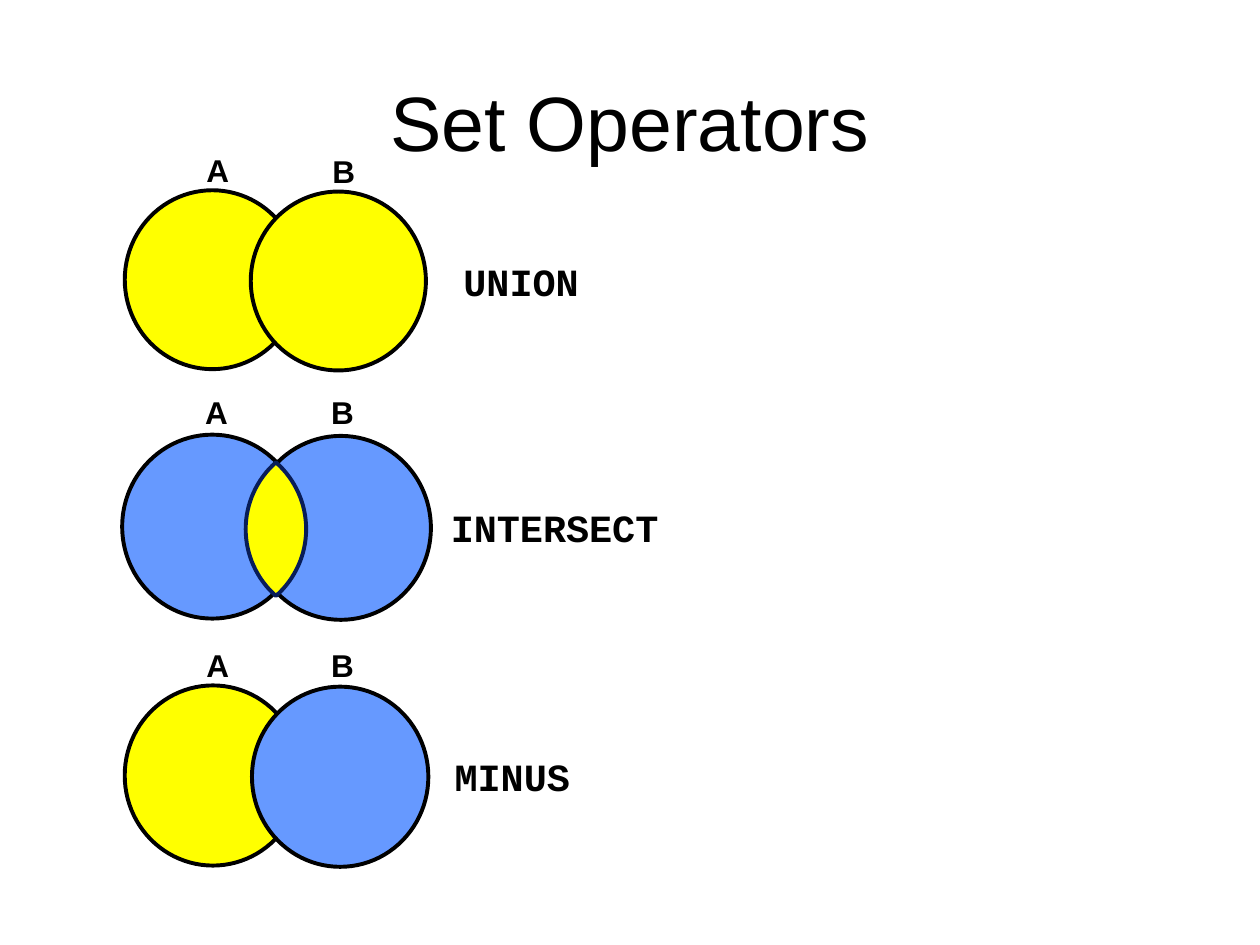
"""Draw the set operators slide with three Venn diagrams."""
import math
from dataclasses import dataclass

import pptx
import pptx.util
import pptx.dml.color
import pptx.enum.shapes
import pptx.enum.text
from pptx.util import Inches

RGBColor = pptx.dml.color.RGBColor
BLACK = RGBColor(0x00, 0x00, 0x00)
WHITE = RGBColor(0xFF, 0xFF, 0xFF)
YELLOW = RGBColor(0xFF, 0xFF, 0x00)
BLUE = RGBColor(0x66, 0x99, 0xFF)
NAVY = RGBColor(0x08, 0x1D, 0x58)

TITLE = {"name": "Arial", "size": pptx.util.Pt(44), "bold": False}
LETTER = {"name": "Arial", "size": pptx.util.Pt(18), "bold": True}
CODE = {"name": "Courier New", "size": pptx.util.Pt(22), "bold": True}
STEPS = 32


@dataclass
class Disc:
    left: float
    top: float
    fill: RGBColor


@dataclass
class Lens:
    x: float
    y: float
    half_w: float
    half_h: float


@dataclass
class Label:
    text: str
    left: float
    top: float
    width: float
    height: float
    font: dict
    wrap: bool = False


@dataclass
class Venn:
    wide: float
    high: float
    discs: list[Disc]
    labels: list[Label]
    lens: Lens | None = None


def letter(text: str, left: float, top: float) -> Label:
    """Give the label of one set."""
    return Label(text, left, top, 0.38, 0.4, LETTER)


VENNS = [
    Venn(1.39, 1.42, [Disc(0.99, 1.51, YELLOW), Disc(1.99, 1.52, YELLOW)],
         [Label("UNION", 3.58, 2, 1.42, 0.47, CODE, True),
          letter("A", 1.54, 1.15), letter("B", 2.54, 1.16)]),
    Venn(1.43, 1.46, [Disc(0.97, 3.45, BLUE), Disc(1.99, 3.46, BLUE)],
         [Label("INTERSECT", 3.48, 3.95, 1.86, 0.47, CODE),
          letter("A", 1.53, 3.07), letter("B", 2.53, 3.07)],
         Lens(2.19, 4.2, 0.24, 0.53)),
    Venn(1.4, 1.43, [Disc(0.99, 5.44, YELLOW), Disc(2, 5.45, BLUE)],
         [Label("MINUS", 3.51, 5.93, 1.12, 0.47, CODE),
          letter("A", 1.54, 5.08), letter("B", 2.53, 5.08)]),
]


def write(frame, text: str, style: dict) -> None:
    """Put styled text in a frame."""
    part = frame.paragraphs[0]
    part.text = text
    for key, value in style.items():
        setattr(part.runs[0].font, key, value)
    part.runs[0].font.color.rgb = BLACK


def paint(shape, fill: RGBColor, line: RGBColor) -> None:
    """Set the fill and outline of a shape."""
    shape.shadow.inherit = False
    shape.fill.solid()
    shape.fill.fore_color.rgb = fill
    shape.line.color.rgb = line
    shape.line.width = pptx.util.Pt(2.25)


def draw_label(slide, label: Label) -> None:
    """Draw one text label."""
    box = slide.shapes.add_textbox(Inches(label.left), Inches(label.top),
                                   Inches(label.width), Inches(label.height))
    frame = box.text_frame
    frame.word_wrap = label.wrap
    frame.auto_size = pptx.enum.text.MSO_AUTO_SIZE.SHAPE_TO_FIT_TEXT
    write(frame, label.text, label.font)


def draw_lens(group, lens: Lens) -> None:
    """Draw the overlap of two discs as a pair of arcs."""
    radius = (lens.half_w ** 2 + lens.half_h ** 2) / (2 * lens.half_w)
    reach = math.asin(lens.half_h / radius)
    shift = radius - lens.half_w
    points = []
    for side in (1, -1):
        for step in range(STEPS):
            angle = side * reach * (2 * step / STEPS - 1)
            points.append((Inches(lens.x + side * (radius * math.cos(angle) - shift)),
                           Inches(lens.y + radius * math.sin(angle))))
    pen = group.shapes.build_freeform(*points[0])
    pen.add_line_segments(points[1:], close=True)
    paint(pen.convert_to_shape(), YELLOW, NAVY)


def draw_venn(slide, venn: Venn) -> None:
    """Draw one diagram with its labels."""
    for label in venn.labels:
        draw_label(slide, label)
    group = slide.shapes.add_group_shape()
    for disc in venn.discs:
        oval = group.shapes.add_shape(
            pptx.enum.shapes.MSO_SHAPE.OVAL, Inches(disc.left), Inches(disc.top),
            Inches(venn.wide), Inches(venn.high))
        paint(oval, disc.fill, BLACK)
    if venn.lens:
        draw_lens(group, venn.lens)


def draw_title(slide) -> None:
    """Place and format the title."""
    title = slide.shapes.title
    place = {"left": 0.67, "top": 0.48, "width": 8.66, "height": 0.96}
    for key, value in place.items():
        setattr(title, key, Inches(value))
    frame = title.text_frame
    for side in ("left", "top", "right", "bottom"):
        setattr(frame, f"margin_{side}", Inches(0.01))
    frame.vertical_anchor = pptx.enum.text.MSO_ANCHOR.MIDDLE
    write(frame, "Set Operators", TITLE)
    frame.paragraphs[0].alignment = pptx.enum.text.PP_ALIGN.CENTER


def main() -> None:
    """Build and save the slide."""
    deck = pptx.Presentation()
    deck.slide_width, deck.slide_height = Inches(10), Inches(7.5)
    slide = deck.slides.add_slide(deck.slide_layouts[5])
    slide.background.fill.solid()
    slide.background.fill.fore_color.rgb = WHITE
    draw_title(slide)
    for venn in VENNS:
        draw_venn(slide, venn)
    deck.save("out.pptx")


if __name__ == "__main__":
    main()
